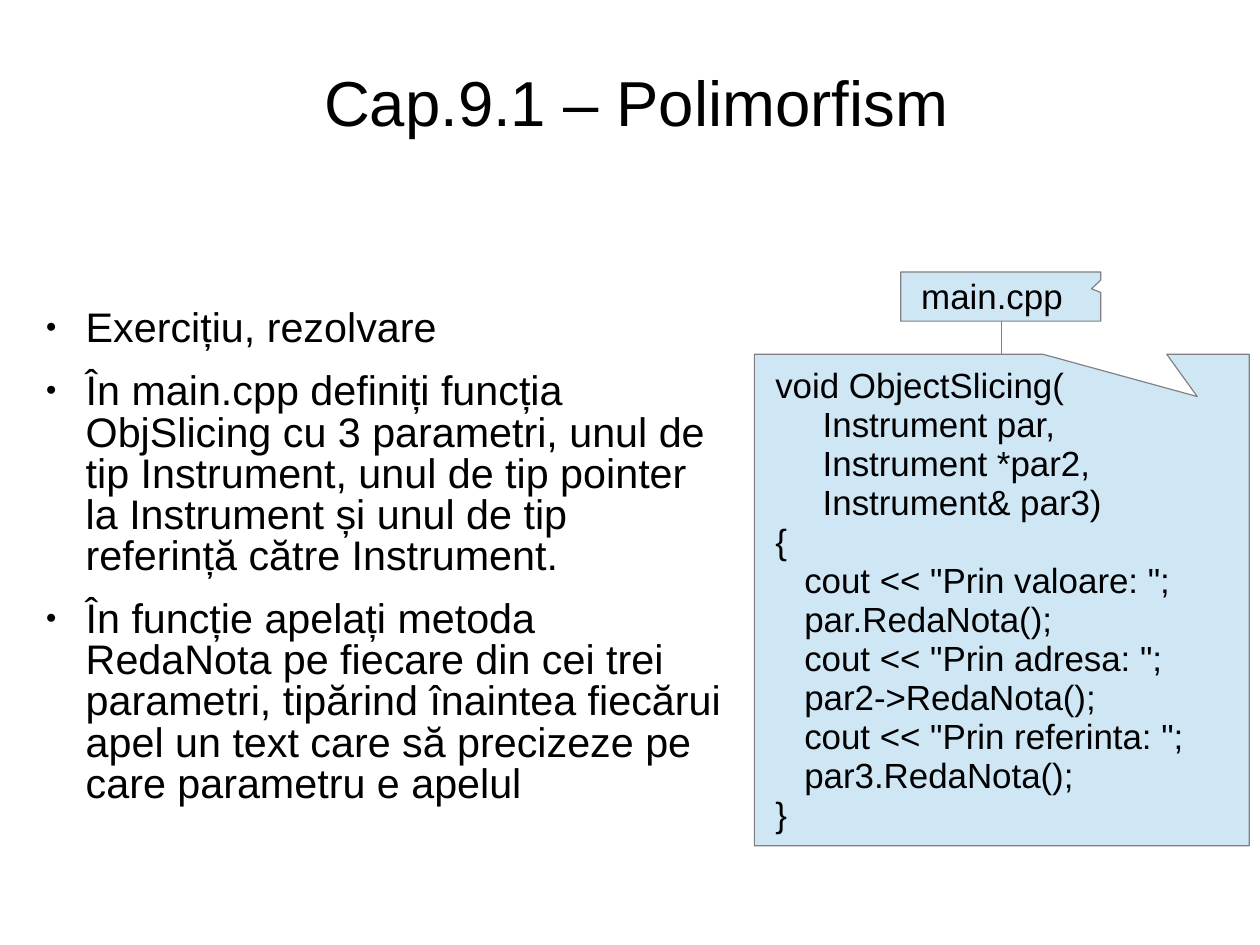
import pptx
import pptx.util
import pptx.dml.color
import pptx.enum.shapes
import pptx.enum.text
import pptx.oxml
import pptx.oxml.ns
from pptx.util import Inches

MIDDLE = pptx.enum.text.MSO_ANCHOR.MIDDLE
TOP = pptx.enum.text.MSO_ANCHOR.TOP
LEFT = pptx.enum.text.PP_ALIGN.LEFT
CENTER = pptx.enum.text.PP_ALIGN.CENTER
NAMESPACE = pptx.oxml.ns.nsdecls("a")
CM_PER_INCH = 2.54


def color(value):
    return pptx.dml.color.RGBColor.from_string(value)


def write(shape, lines, size, margins, anchor, paragraph_format, extras=()):
    frame = shape.text_frame
    left, top, right, bottom = (Inches(margin) for margin in margins)
    frame_format = {"word_wrap": True, "vertical_anchor": anchor, "margin_left": left,
                    "margin_top": top, "margin_right": right, "margin_bottom": bottom}
    for name, value in frame_format.items():
        setattr(frame, name, value)
    for index, line in enumerate(lines):
        paragraph = frame.paragraphs[0] if index == 0 else frame.add_paragraph()
        for name, value in paragraph_format.items():
            setattr(paragraph, name, value)
        properties = paragraph._p.get_or_add_pPr()
        for extra in extras:
            properties.append(pptx.oxml.parse_xml(extra))
        run = paragraph.add_run()
        run.text = line
        for name, value in {"name": "Arial", "size": pptx.util.Pt(size)}.items():
            setattr(run.font, name, value)
        run.font.color.rgb = color("000000")


# Slide of 28 by 21 centimetres
presentation = pptx.Presentation()
presentation.slide_width = Inches(28 / CM_PER_INCH)
presentation.slide_height = Inches(21 / CM_PER_INCH)
slide = presentation.slides.add_slide(presentation.slide_layouts[6])

# Title
title = slide.shapes.add_textbox(Inches(0.36), Inches(0.28), Inches(10.41), Inches(1.24))
write(title, ["Cap.9.1 – Polimorfism"], 40, (0, 0.04, 0, 0), MIDDLE,
      {"alignment": CENTER, "line_spacing": 0.93})

# Exercise bullets
exercise = [
    "Exercițiu, rezolvare",
    "În main.cpp definiți funcția ObjSlicing cu 3 parametri, unul de tip Instrument, "
    "unul de tip pointer la Instrument și unul de tip referință către Instrument.",
    "În funcție apelați metoda RedaNota pe fiecare din cei trei parametri, tipărind "
    "înaintea fiecărui apel un text care să precizeze pe care parametru e apelul",
]
bullet = [
    f'<a:buClr {NAMESPACE}><a:srgbClr val="000000"/></a:buClr>',
    f'<a:buSzPct {NAMESPACE} val="45000"/>',
    f'<a:buFont {NAMESPACE} typeface="Arial"/>',
    f'<a:buChar {NAMESPACE} char="●"/>',
]
body = slide.shapes.add_textbox(Inches(0.28), Inches(2.68), Inches(6.08), Inches(4.83))
write(body, exercise, 26, (0, 0.03, 0, 0), TOP,
      {"alignment": LEFT, "line_spacing": 0.83, "space_after": pptx.util.Pt(14.1)}, bullet)
for paragraph in body.text_frame.paragraphs:
    properties = paragraph._p.get_or_add_pPr()
    for name, value in {"marL": Inches(0.47), "indent": Inches(-0.35)}.items():
        properties.set(name, str(value))

# Line from the file name to its code
connector = slide.shapes.add_connector(
    pptx.enum.shapes.MSO_CONNECTOR.STRAIGHT,
    Inches(8.76), Inches(2.81), Inches(8.76), Inches(3.1))
connector._element.spPr.append(pptx.oxml.parse_xml(f"<a:effectLst {NAMESPACE}/>"))
connector.line.color.rgb = color("808080")
connector.line.width = pptx.util.Pt(0.75)

# File name and code callouts
code = [
    " void ObjectSlicing(",
    "\tInstrument par,",
    "\tInstrument *par2,",
    "\tInstrument& par3)",
    " {",
    '    cout << "Prin valoare: ";',
    "    par.RedaNota();",
    '    cout << "Prin adresa: ";',
    "    par2->RedaNota();",
    '    cout << "Prin referinta: ";',
    "    par3.RedaNota();",
    " }",
]
code_tab = f'<a:tabLst {NAMESPACE}><a:tab pos="{Inches(0.5)}" algn="l"/></a:tabLst>'
callouts = [
    ((7.88, 2.38, 1.75, 0.43), (0.454, -0.159), ["main.cpp"], 0.18, []),
    ((6.6, 3.1, 4.33, 4.3), (0.395, -0.414), code, 0.1, [code_tab]),
]
for box, tip, lines, margin_left, extras in callouts:
    shape = slide.shapes.add_shape(
        pptx.enum.shapes.MSO_SHAPE.RECTANGULAR_CALLOUT, *(Inches(length) for length in box))
    shape.adjustments[0], shape.adjustments[1] = tip
    shape.shadow.inherit = False
    shape.fill.solid()
    shape.fill.fore_color.rgb = color("CFE7F5")
    shape.line.color.rgb = color("808080")
    shape.line.width = pptx.util.Pt(0.75)
    write(shape, lines, 22, (margin_left, 0.07, 0.1, 0.05), MIDDLE,
          {"alignment": LEFT, "line_spacing": 0.93}, extras)

presentation.save("out.pptx")
